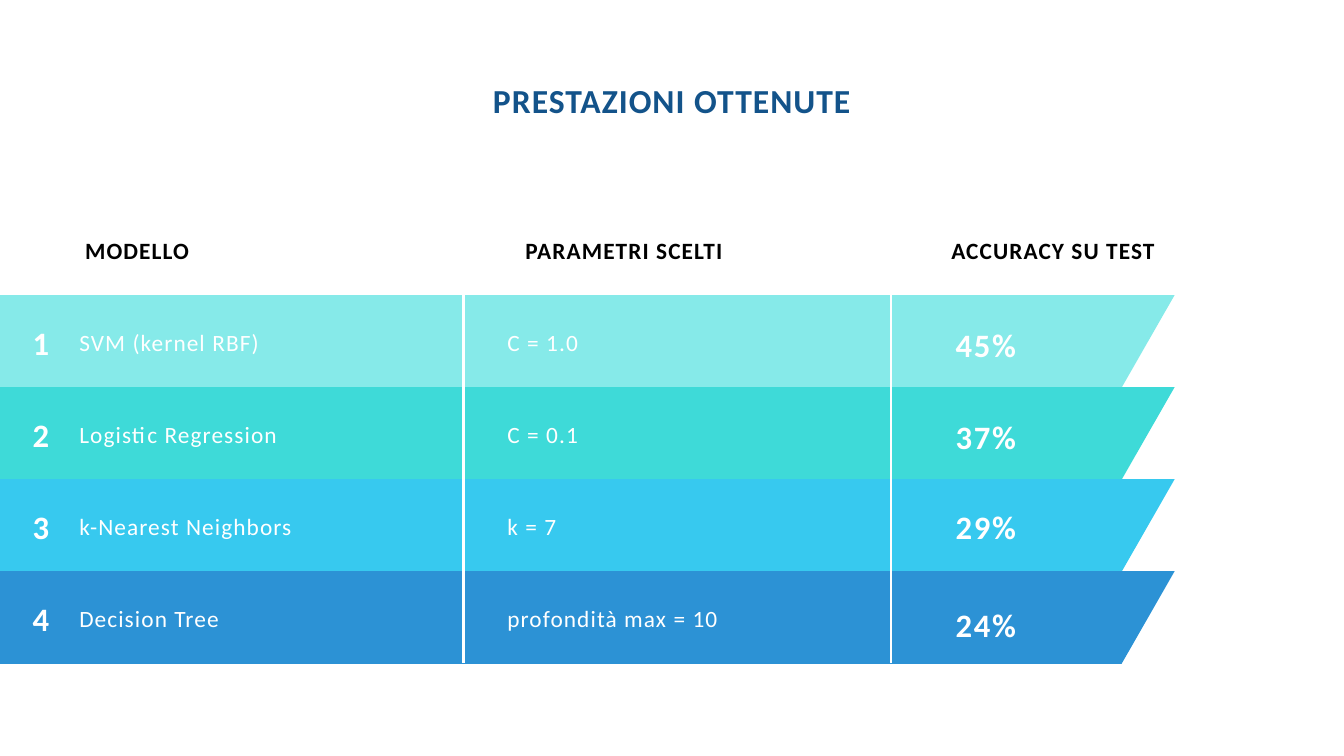
from dataclasses import dataclass

from lxml import etree
from pptx import Presentation
from pptx.dml.color import RGBColor
from pptx.enum.shapes import MSO_CONNECTOR
from pptx.enum.text import MSO_ANCHOR, PP_ALIGN
from pptx.oxml.ns import qn
from pptx.util import Pt

LEFT, CENTER = PP_ALIGN.LEFT, PP_ALIGN.CENTER
TOP = MSO_ANCHOR.TOP
STRAIGHT = MSO_CONNECTOR.STRAIGHT

PX = 9144  # EMU per px, 100 px to the inch
SLIDE_W, SLIDE_H = 2000, 1125


@dataclass(frozen=True)
class TextStyle:
    size: float
    leading: float
    tracking: float
    bold: bool
    color: str


class Theme:
    font = "Calibri"
    white = "FFFFFF"
    divider_pt = 3
    title = TextStyle(36, 47.2, 1.1, True, "13538A")
    header = TextStyle(25, 35, 1.2, True, "000000")
    cell = TextStyle(25, 35, 1.2, False, white)
    figure = TextStyle(35, 49, 1.8, True, white)


TITLE = "PRESTAZIONI OTTENUTE"
HEADERS = [  # text, left, width
    ("MODELLO", 112, 184),
    ("PARAMETRI SCELTI", 755, 347),
    ("ACCURACY SU TEST", 1386, 362),
]
ROWS = [  # model, parameters, accuracy, accuracy offset, band left, band colour
    ("SVM (kernel RBF)", "C = 1.0", "45%", 35, -143, "86EAE9"),
    ("Logistic Regression", "C = 0.1", "37%", 34, -143, "3EDAD8"),
    ("k-Nearest Neighbors", "k = 7", "29%", 32, -143, "37C9EF"),
    ("Decision Tree", "profondità max = 10", "24%", 40, -162, "2C92D5"),
]
DIVIDERS = [690, 1326]

BAND_TOP, BAND_PITCH, BAND_H = 439, 137, 138
BAND_RIGHT, BAND_SLANT = 1748, 79
TABLE_BOTTOM = BAND_TOP + BAND_PITCH * len(ROWS)


def add_text(slide, text, left, top, width, height, style, align=LEFT):
    frame = slide.shapes.add_textbox(
        left * PX, top * PX, width * PX, height * PX).text_frame
    frame.margin_left = frame.margin_right = 0
    frame.margin_top = frame.margin_bottom = 0
    frame.word_wrap = True
    frame.vertical_anchor = TOP
    frame.text = text
    paragraph = frame.paragraphs[0]
    paragraph.alignment = align
    paragraph.line_spacing = Pt(style.leading)
    run = paragraph.runs[0]
    run.font.name = Theme.font
    run.font.size = Pt(style.size)
    run.font.bold = style.bold
    run.font.color.rgb = RGBColor.from_string(style.color)
    run._r.get_or_add_rPr().set("spc", str(round(style.tracking * 100)))


def add_band(slide, left, top, color):
    """Draw a row background that narrows at both ends towards its bottom."""
    bottom = top + BAND_H
    builder = slide.shapes.build_freeform(left, top, scale=PX)
    builder.add_line_segments([
        (BAND_RIGHT, top),
        (BAND_RIGHT - BAND_SLANT, bottom),
        (left + BAND_SLANT, bottom),
    ], close=True)
    band = builder.convert_to_shape()
    band.shadow.inherit = False
    band.fill.solid()
    band.fill.fore_color.rgb = RGBColor.from_string(color)
    band.line.fill.background()


def add_divider(slide, x):
    divider = slide.shapes.add_connector(
        STRAIGHT, x * PX, TABLE_BOTTOM * PX, x * PX, BAND_TOP * PX)
    divider.line.color.rgb = RGBColor.from_string(Theme.white)
    divider.line.width = Pt(Theme.divider_pt)
    etree.SubElement(divider._element.spPr, qn("a:effectLst"))


def main():
    deck = Presentation()
    deck.slide_width, deck.slide_height = SLIDE_W * PX, SLIDE_H * PX
    slide = deck.slides.add_slide(deck.slide_layouts[6])

    add_text(slide, TITLE, 388, 113, 1224, 63, Theme.title, CENTER)
    for header, left, width in HEADERS:
        add_text(slide, header, left, 344, width, 46, Theme.header, CENTER)

    row_tops = [BAND_TOP + i * BAND_PITCH for i in range(len(ROWS))]
    for top, (*_, band_left, color) in zip(row_tops, ROWS):
        add_band(slide, band_left, top, color)
    for x in DIVIDERS:
        add_divider(slide, x)

    for number, (top, row) in enumerate(zip(row_tops, ROWS), start=1):
        model, parameters, accuracy, accuracy_offset, *_ = row
        add_text(slide, str(number), 23, top + 31, 76, 66, Theme.figure, CENTER)
        add_text(slide, model, 118, top + 42, 550, 47, Theme.cell)
        add_text(slide, parameters, 755, top + 42, 344, 46, Theme.cell)
        add_text(slide, accuracy, 1409, top + accuracy_offset, 116, 66,
                 Theme.figure, CENTER)

    deck.save("out.pptx")


if __name__ == "__main__":
    main()
